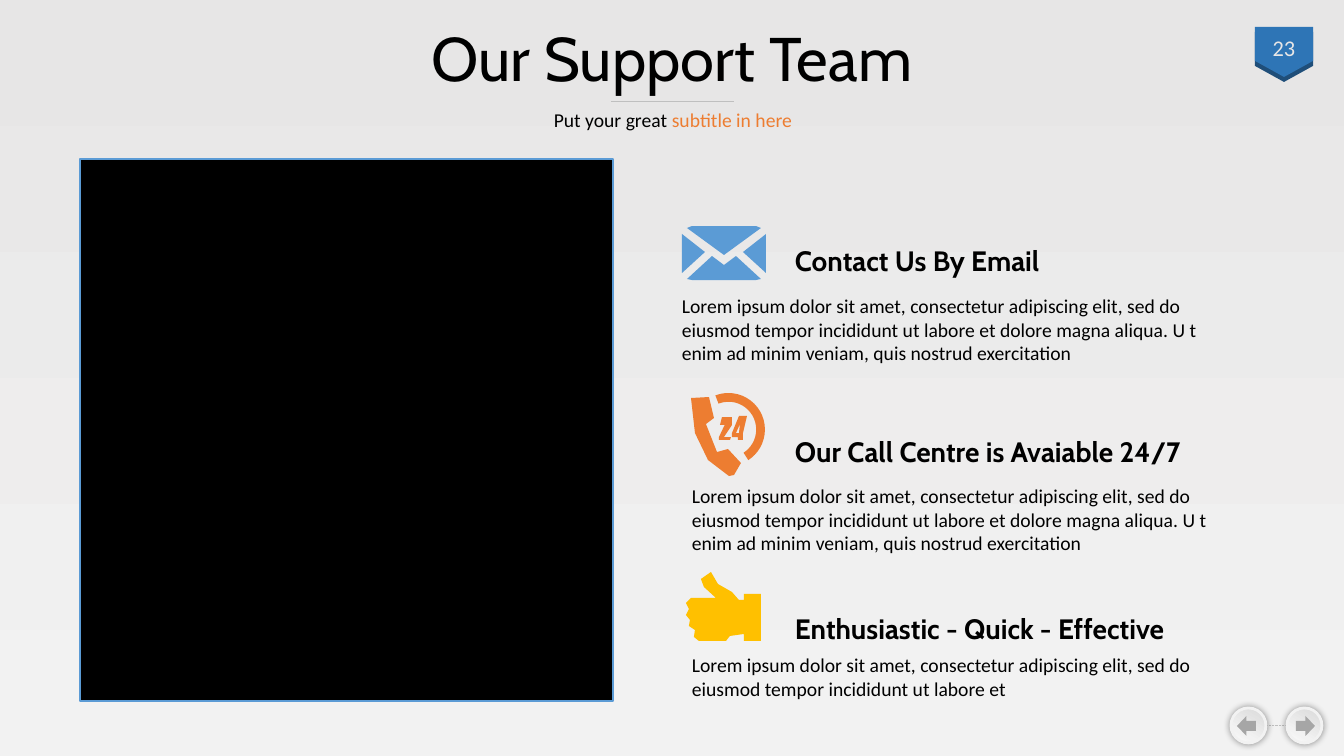
from copy import deepcopy

from pptx import Presentation
from pptx.dml.color import RGBColor
from pptx.enum.dml import MSO_LINE
from pptx.enum.shapes import MSO_CONNECTOR, MSO_SHAPE
from pptx.enum.text import MSO_ANCHOR, MSO_AUTO_SIZE, PP_ALIGN
from pptx.oxml import parse_xml
from pptx.oxml.ns import nsdecls, qn
from pptx.util import Pt

WIDTH, HEIGHT = 1344, 756
PX = 12192000 / WIDTH  # EMU in one px

BLACK = RGBColor.from_string("000000")
WHITE = RGBColor.from_string("FFFFFF")
PALE = RGBColor.from_string("F2F2F2")
LIGHT = RGBColor.from_string("E7E6E6")
SILVER = RGBColor.from_string("D9D9D9")
RULE = RGBColor.from_string("BFBFBF")
GREY = RGBColor.from_string("A6A6A6")
NAVY = RGBColor.from_string("1F4E79")
BLUE = RGBColor.from_string("2E75B6")
SKY = RGBColor.from_string("5B9BD5")
ORANGE = RGBColor.from_string("ED7D31")
GOLD = RGBColor.from_string("FFC000")

RECTANGLE, OVAL, PENTAGON = MSO_SHAPE.RECTANGLE, MSO_SHAPE.OVAL, MSO_SHAPE.PENTAGON
LEFT_ARROW, RIGHT_ARROW = MSO_SHAPE.LEFT_ARROW, MSO_SHAPE.RIGHT_ARROW
BLOCK_ARC = MSO_SHAPE.BLOCK_ARC
STRAIGHT, DOTTED = MSO_CONNECTOR.STRAIGHT, MSO_LINE.ROUND_DOT
LEFT, CENTER = PP_ALIGN.LEFT, PP_ALIGN.CENTER
TOP, MIDDLE = MSO_ANCHOR.TOP, MSO_ANCHOR.MIDDLE
GROW, FIXED = MSO_AUTO_SIZE.SHAPE_TO_FIT_TEXT, MSO_AUTO_SIZE.NONE

TITLE = {"size": Pt(44), "name": "Cabin"}
HEADING = {"size": Pt(20), "name": "Cabin", "bold": True}
BODY = {"size": Pt(14), "name": "Calibri"}
NUMBER = {"size": Pt(16), "name": "Calibri"}

LOREM_SHORT = ("Lorem ipsum dolor sit amet, consectetur adipiscing elit, sed do eiusmod "
               "tempor incididunt ut labore et")
LOREM = LOREM_SHORT + (" dolore magna aliqua. U t enim ad minim veniam, "
                       "quis nostrud exercitation")


def emu(*lengths):
    return [round(length * PX) for length in lengths]


def inside(box, left, top, width, height):
    return box[0] + left, box[1] + top, width, height


def set_gradient(fill, owner, stops, angle):
    fill.gradient()
    fill.gradient_angle = angle
    stop_list = next(owner.iter(qn("a:gsLst")))
    while len(stop_list) < len(stops):
        stop_list.append(deepcopy(stop_list[0]))
    for stop, (position, color) in zip(fill.gradient_stops, stops):
        stop.position = position
        stop.color.rgb = color


def finish(shape, color=None, line=None, weight=1):
    shape.shadow.inherit = False
    if color is not None:
        shape.fill.solid()
        shape.fill.fore_color.rgb = color
    if line is None:
        shape.line.fill.background()
    else:
        shape.line.color.rgb = line
        shape.line.width = Pt(weight)
    return shape


def add_preset(page, kind, box, color=None, line=None, weight=1):
    return finish(page.shapes.add_shape(kind, *emu(*box)), color, line, weight)


def add_outline(page, box, contours, color):
    builder = None
    for contour in contours:
        start, *rest = [tuple(emu(box[0] + x, box[1] + y)) for x, y in contour]
        if builder is None:
            builder = page.shapes.build_freeform(*start)
        else:
            builder.move_to(*start)
        builder.add_line_segments(rest, close=True)
    finish(builder.convert_to_shape(), color)


def add_rule(page, left, right, top, dash=None):
    rule = page.shapes.add_connector(STRAIGHT, *emu(left, top, right, top))
    rule.line.color.rgb = RULE
    rule.line.width = Pt(0.5)
    if dash:
        rule.line.dash_style = dash
    rule._element.spPr.append(parse_xml(f"<a:effectLst {nsdecls('a')}/>"))


def add_text(page, box, spans, style, align=LEFT, anchor=TOP, wrap=True, size=FIXED, spacing=1.0):
    frame = page.shapes.add_textbox(*emu(*box)).text_frame
    frame.word_wrap, frame.auto_size, frame.vertical_anchor = wrap, size, anchor
    para = frame.paragraphs[0]
    para.alignment, para.line_spacing = align, spacing
    for text, color in spans:
        span = para.add_run()
        span.text = text
        for name, value in style.items():
            setattr(span.font, name, value)
        span.font.color.rgb = color


def draw_envelope(page, box):
    def mirror(points):
        return [(box[2] - x, y) for x, y in reversed(points)]

    middle = box[2] // 2
    flap = [(middle, 29), (5, 2), (10, 0)]
    front = [(middle, 39), (30, 30), (5, 53), (10, 54)]
    side = [(0, 8), (23, 26), (0, 47)]
    add_outline(page, box, [flap + mirror(flap), front + mirror(front), side, mirror(side)], SKY)


def draw_phone(page, box):
    handset = [(43, 82), (50, 70), (37, 56), (26, 59), (15, 31), (23, 25), (18, 4),
               (0, 5), (4, 40), (17, 67), (38, 83)]
    two = [(39, 47), (28, 47), (28, 44), (36, 27), (34, 32), (29, 32), (31, 24), (41, 24),
           (41, 32), (33, 44), (40, 44)]
    four = [(52, 47), (47, 47), (47, 44), (41, 44), (41, 40), (48, 23), (56, 23), (52, 40)]
    opening = [(48, 40), (45, 40), (49, 31)]
    add_outline(page, box, [handset, two, four, opening], ORANGE)
    ring = add_preset(page, BLOCK_ARC, inside(box, 1, 0, 73, 73), ORANGE)
    for index, degrees in enumerate((249, 57)):
        ring.adjustments[index] = degrees * 0.6
    ring.adjustments[2] = 0.12


def draw_thumb(page, box):
    hand = [(25, 0), (15, 7), (18, 15), (30, 26), (5, 26), (0, 31), (3, 37), (0, 43), (4, 48),
            (3, 54), (9, 58), (8, 65), (13, 69), (40, 69), (44, 64), (58, 62), (58, 69),
            (75, 69), (75, 22), (58, 22), (58, 28), (53, 28), (46, 20), (32, 12)]
    add_outline(page, box, [hand], GOLD)


def draw_contact(page, box, heading, heading_width, heading_top, body, body_left, body_height):
    add_text(page, inside(box, 113, heading_top, heading_width, 44), [(heading, BLACK)],
             HEADING, wrap=False, size=GROW)
    add_text(page, inside(box, body_left, box[3] - body_height, 551, body_height),
             [(body, BLACK)], BODY, size=GROW)


def draw_header(page, box):
    add_rule(page, box[0] + 352, box[0] + 475, box[1] + 84)
    add_text(page, inside(box, 0, 0, box[2], 89), [("Our Support Team", BLACK)], TITLE,
             CENTER, MIDDLE, spacing=0.9)
    add_text(page, inside(box, 187, 83, 454, 40),
             [("Put your great ", BLACK), ("subtitle in here", ORANGE)], BODY, CENTER, MIDDLE)


def draw_badge(page, box):
    for top, color in ((5, NAVY), (0, BLUE)):
        plate = add_preset(page, PENTAGON, inside(box, 14, top, 50, 58), color)
        plate.adjustments[0] = 0.32
        plate.rotation = 90
    add_text(page, inside(box, 0, 5, box[2], 40), [("23", LIGHT)], NUMBER, CENTER, MIDDLE)


def draw_navigation(page, box):
    size = box[3]
    far = box[2] - size
    add_rule(page, box[0] + size, box[0] + far, box[1] + size / 2, DOTTED)
    for left, kind, indent in ((far, RIGHT_ARROW, 9), (0, LEFT_ARROW, 6)):
        button = add_preset(page, OVAL, inside(box, left, 0, size, size), line=PALE, weight=2)
        set_gradient(button.fill, button._element,
                     [(0.01, SILVER), (0.71, PALE), (1, WHITE)], 240)
        button._element.spPr.find(qn("a:effectLst")).append(parse_xml(
            f'<a:outerShdw {nsdecls("a")} blurRad="{Pt(5)}" dist="0" dir="0">'
            '<a:srgbClr val="000000"><a:alpha val="40000"/></a:srgbClr></a:outerShdw>'))
        add_preset(page, kind, inside(box, left + indent, 8, 19, 20), GREY)


def main():
    deck = Presentation()
    deck.slide_width, deck.slide_height = emu(WIDTH, HEIGHT)
    page = deck.slides.add_slide(deck.slide_layouts[6])
    set_gradient(page.background.fill, page._element, [(0, LIGHT), (1, PALE)], 270)
    draw_badge(page, (1245, 23, 78, 63))
    draw_navigation(page, (1231, 708, 91, 35))
    draw_header(page, (259, 17, 826, 123))
    # Photo panel
    add_preset(page, RECTANGLE, (80, 159, 533, 542), BLACK, SKY)
    # Ways to reach the team
    draw_envelope(page, (682, 226, 84, 54))
    draw_contact(page, (672, 226, 561, 145), "Contact Us By Email", 269, 13, LOREM, 0, 82)
    draw_phone(page, (691, 393, 75, 84))
    draw_contact(page, (672, 393, 561, 168), "Our Call Centre is Avaiable 24/7", 409, 37,
                 LOREM, 10, 82)
    draw_thumb(page, (686, 572, 75, 69))
    draw_contact(page, (672, 572, 561, 133), "Enthusiastic - Quick - Effective", 399, 35,
                 LOREM_SHORT, 10, 57)
    deck.save("out.pptx")


if __name__ == "__main__":
    main()
